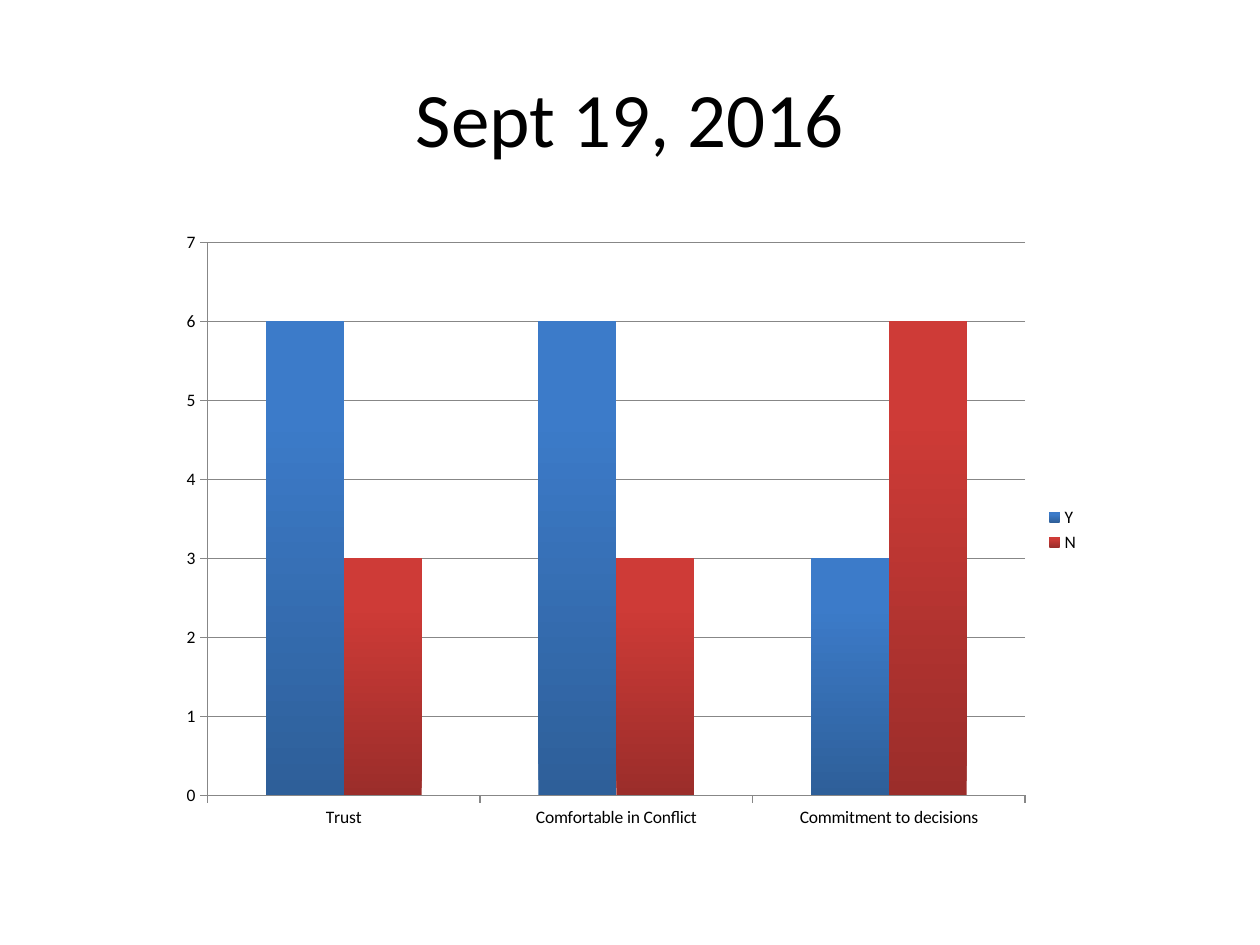
from dataclasses import dataclass

from pptx import Presentation
from pptx.chart.data import CategoryChartData
from pptx.dml.color import RGBColor
from pptx.enum.chart import XL_CHART_TYPE, XL_LEGEND_POSITION, XL_TICK_MARK
from pptx.enum.text import MSO_ANCHOR, PP_ALIGN
from pptx.util import Emu, Pt

COLUMNS = XL_CHART_TYPE.COLUMN_CLUSTERED
LEGEND_RIGHT = XL_LEGEND_POSITION.RIGHT
TICK_OUTSIDE = XL_TICK_MARK.OUTSIDE
MIDDLE = MSO_ANCHOR.MIDDLE
CENTER = PP_ALIGN.CENTER
TITLE_ONLY = 5


@dataclass(frozen=True)
class Theme:
    font: str = "Calibri"
    text: str = "000000"
    background: str = "FFFFFF"
    lines: str = "878787"
    title_size: int = 44
    chart_size: int = 10
    series: tuple = (("2E5F99", "3C7BC9"), ("9B2D2A", "CE3B37"))


THEME = Theme()
CATEGORIES = ("Trust", "Comfortable in Conflict", "Commitment to decisions")
ANSWERS = {"Y": (6, 6, 3), "N": (3, 3, 6)}


def px(length):
    return Emu(round(length * 914400 / 126))


def color(value):
    return RGBColor.from_string(value)


def style_font(font, size):
    font.name = THEME.font
    font.size = Pt(size)
    font.color.rgb = color(THEME.text)


def add_title(page, text, left, top, width, height):
    box = page.shapes.title
    box.left, box.top, box.width, box.height = map(px, (left, top, width, height))
    frame = box.text_frame
    frame.text = text
    frame.vertical_anchor = MIDDLE
    para = frame.paragraphs[0]
    para.alignment = CENTER
    style_font(para.runs[0].font, THEME.title_size)


def style_axis(axis):
    axis.major_tick_mark = TICK_OUTSIDE
    axis.format.line.color.rgb = color(THEME.lines)
    axis.format.line.width = Pt(0.75)


def fill_series(series, dark, light):
    fill = series.format.fill
    fill.gradient()
    fill.gradient_angle = 90
    for stop, shade, position in zip(fill.gradient_stops, (dark, light), (0, 0.8)):
        stop.color.rgb = color(shade)
        stop.position = position
    series.format.line.fill.background()


def add_answer_chart(page, left, top, width, height):
    data = CategoryChartData()
    data.categories = CATEGORIES
    for name, counts in ANSWERS.items():
        data.add_series(name, counts)
    frame = page.shapes.add_chart(COLUMNS, *map(px, (left, top, width, height)), data)
    chart = frame.chart
    chart.has_title = False
    style_font(chart.font, THEME.chart_size)
    chart.has_legend = True
    chart.legend.position = LEGEND_RIGHT
    chart.legend.include_in_layout = False

    style_axis(chart.category_axis)
    counts_axis = chart.value_axis
    style_axis(counts_axis)
    counts_axis.minimum_scale = 0
    counts_axis.maximum_scale = 7
    counts_axis.major_unit = 1
    counts_axis.has_major_gridlines = True
    gridline = counts_axis.major_gridlines.format.line
    gridline.color.rgb = color(THEME.lines)
    gridline.width = Pt(0.75)

    plot = chart.plots[0]
    plot.gap_width = 150
    plot.vary_by_categories = False
    for series, shades in zip(plot.series, THEME.series):
        fill_series(series, *shades)


def main():
    deck = Presentation()
    deck.slide_width = px(1260)
    deck.slide_height = px(945)
    page = deck.slides.add_slide(deck.slide_layouts[TITLE_ONLY])
    page.background.fill.solid()
    page.background.fill.fore_color.rgb = color(THEME.background)
    add_title(page, "Sept 19, 2016", 63, 38, 1134, 157)
    add_answer_chart(page, 168, 220, 924, 620)
    deck.save("out.pptx")


if __name__ == "__main__":
    main()
